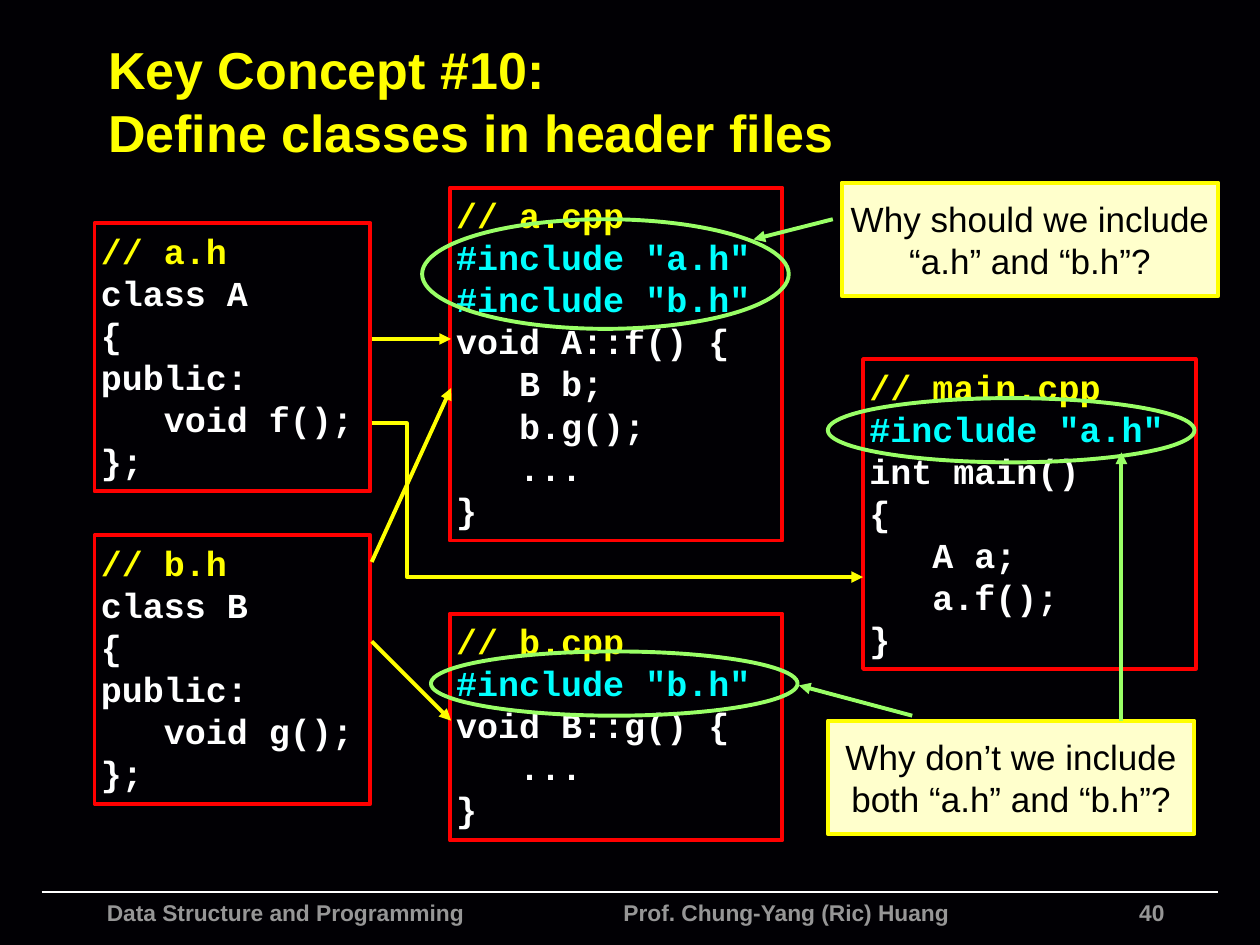
from lxml import etree
from pptx import Presentation, util as u
from pptx.dml.color import RGBColor
from pptx.enum import shapes, text
from pptx.oxml.ns import qn

PX = 9144  # 100 px to the inch
YELLOW, RED, GREEN, CYAN = "FFFF00", "FF0000", "99FF66", "00FFFF"
WHITE, BLACK, GRAY, CREAM, NIGHT = "FFFFFF", "000000", "969696", "FFFFCC", "010004"
RECT, OVAL = shapes.MSO_SHAPE.RECTANGLE, shapes.MSO_SHAPE.OVAL
LEFT, MID, RIGHT = text.PP_ALIGN.LEFT, text.PP_ALIGN.CENTER, text.PP_ALIGN.RIGHT
TOP, CENTER = text.MSO_ANCHOR.TOP, text.MSO_ANCHOR.MIDDLE


def px(*vals):
    return [u.Emu(v * PX) for v in vals]


def rgb(color):
    return RGBColor.from_string(color)


def stroke(item, color, width=2.25):
    item.line.color.rgb = rgb(color)
    item.line.width = u.Pt(width)


def head(item):
    """Put a triangle arrowhead at the end of a line."""
    line = item.line._get_or_add_ln()
    etree.SubElement(line, qn("a:tailEnd"), type="triangle")


def frame(item, pad, anchor, wrap=True):
    body = item.text_frame
    body.word_wrap, body.vertical_anchor = wrap, anchor
    body.margin_left = body.margin_right = u.Emu(pad * PX)
    body.margin_top = body.margin_bottom = u.Emu(5 * PX)
    return body


def style(para, size, color, bold=True, face="Arial", align=LEFT):
    para.alignment = align
    font = para.font
    font.name, font.size, font.bold = face, u.Pt(size), bold
    font.color.rgb = rgb(color)


def label(slide, box, words, size, color, anchor=TOP, align=LEFT):
    item = slide.shapes.add_textbox(*px(*box))
    para = frame(item, 10, anchor).paragraphs[0]
    para.text = words
    style(para, size, color, align=align)


def outline(slide, kind, box, color, fill=None):
    item = slide.shapes.add_shape(kind, *px(*box))
    item.shadow.inherit = False
    if fill:
        item.fill.solid()
        item.fill.fore_color.rgb = rgb(fill)
    else:
        item.fill.background()
    stroke(item, color)
    return item


def line(slide, start, end, color, width=2.25, arrow=True):
    item = slide.shapes.add_connector(shapes.MSO_CONNECTOR.STRAIGHT, *px(*start, *end))
    stroke(item, color, width)
    if arrow:
        head(item)
    etree.SubElement(item._element.spPr, qn("a:effectLst"))


def bent(slide, points, color):
    """Draw an arrow through several points."""
    path = slide.shapes.build_freeform(*points[0], scale=PX)
    path.add_line_segments(points[1:], close=False)
    item = path.convert_to_shape()
    item.shadow.inherit = False
    item.fill.background()
    stroke(item, color)
    head(item)


def code(slide, left, top, width, source):
    """Draw a code file in a box as high as its lines."""
    rows = source.split("\n")
    high = round(13 + len(rows) * 100 / 3)
    item = outline(slide, RECT, (left, top, width, high), RED)
    body = frame(item, 5, TOP, wrap=False)
    for n, row in enumerate(rows):
        para = body.add_paragraph() if n else body.paragraphs[0]
        para.text = row
        color = {"/": YELLOW, "#": CYAN}.get(row[0], WHITE)
        style(para, 20, color, face="Courier New")


def callout(slide, box, words):
    item = outline(slide, RECT, box, YELLOW, CREAM)
    para = frame(item, 5, CENTER).paragraphs[0]
    para.text = words
    style(para, 20, BLACK, bold=False, align=MID)


def footer(slide, left, top, width):
    line(slide, (left, top), (left + width, top), WHITE, 1, arrow=False)
    label(slide, (left + 42, top, 340, 42), "Data Structure and Programming", 13, GRAY)
    label(slide, (left + 452, top, 314, 42), "Prof. Chung-Yang (Ric) Huang", 13, GRAY)
    label(slide, (left + 801, top, 100, 42), "40", 13, GRAY, align=RIGHT)


def header(name, method):
    return f"// {name.lower()}.h\nclass {name}\n{{\npublic:\n   void {method}();\n}};"


A_CPP = """// a.cpp
#include "a.h"
#include "b.h"
void A::f() {
   B b;
   b.g();
   ...
}"""
B_CPP = """// b.cpp
#include "b.h"
void B::g() {
   ...
}"""
MAIN = """// main.cpp
#include "a.h"
int main()
{
   A a;
   a.f();
}"""


def files(slide):
    code(slide, 75, 177, 219, header("A", "f"))
    code(slide, 75, 425, 219, header("B", "g"))
    code(slide, 357, 149, 264, A_CPP)
    code(slide, 357, 487, 264, B_CPP)
    code(slide, 685, 285, 264, MAIN)


def uses(slide):
    """Link each header to the files that include it."""
    for start, end in ((269, 269), (446, 308), (509, 572)):
        line(slide, (295, start), (358, end), YELLOW)
    bent(slide, [(295, 336), (323, 336), (323, 458), (685, 458)], YELLOW)


def asks(slide):
    """Add the two questions and ring the lines they are about."""
    callout(slide, (668, 145, 299, 90), "Why should we include “a.h” and “b.h”?")
    line(slide, (661, 174), (598, 190), GREEN)
    for left, top, high in ((335, 174, 87), (342, 517, 51), (657, 316, 51)):
        outline(slide, OVAL, (left, top, 291, high), GREEN)
    callout(slide, (657, 572, 291, 90), "Why don’t we include both “a.h” and “b.h”?")
    line(slide, (724, 568), (634, 544), GREEN)
    line(slide, (890, 572), (890, 359), GREEN)


def main():
    deck = Presentation()
    deck.slide_width, deck.slide_height = px(1000, 750)
    slide = deck.slides.add_slide(deck.slide_layouts[6])
    slide.background.fill.solid()
    slide.background.fill.fore_color.rgb = rgb(NIGHT)
    footer(slide, 33, 708, 934)
    title = "Key Concept #10:\vDefine classes in header files"
    label(slide, (76, 29, 884, 101), title, 29.7, YELLOW, CENTER)
    files(slide)
    uses(slide)
    asks(slide)
    deck.save("out.pptx")


if __name__ == "__main__":
    main()
